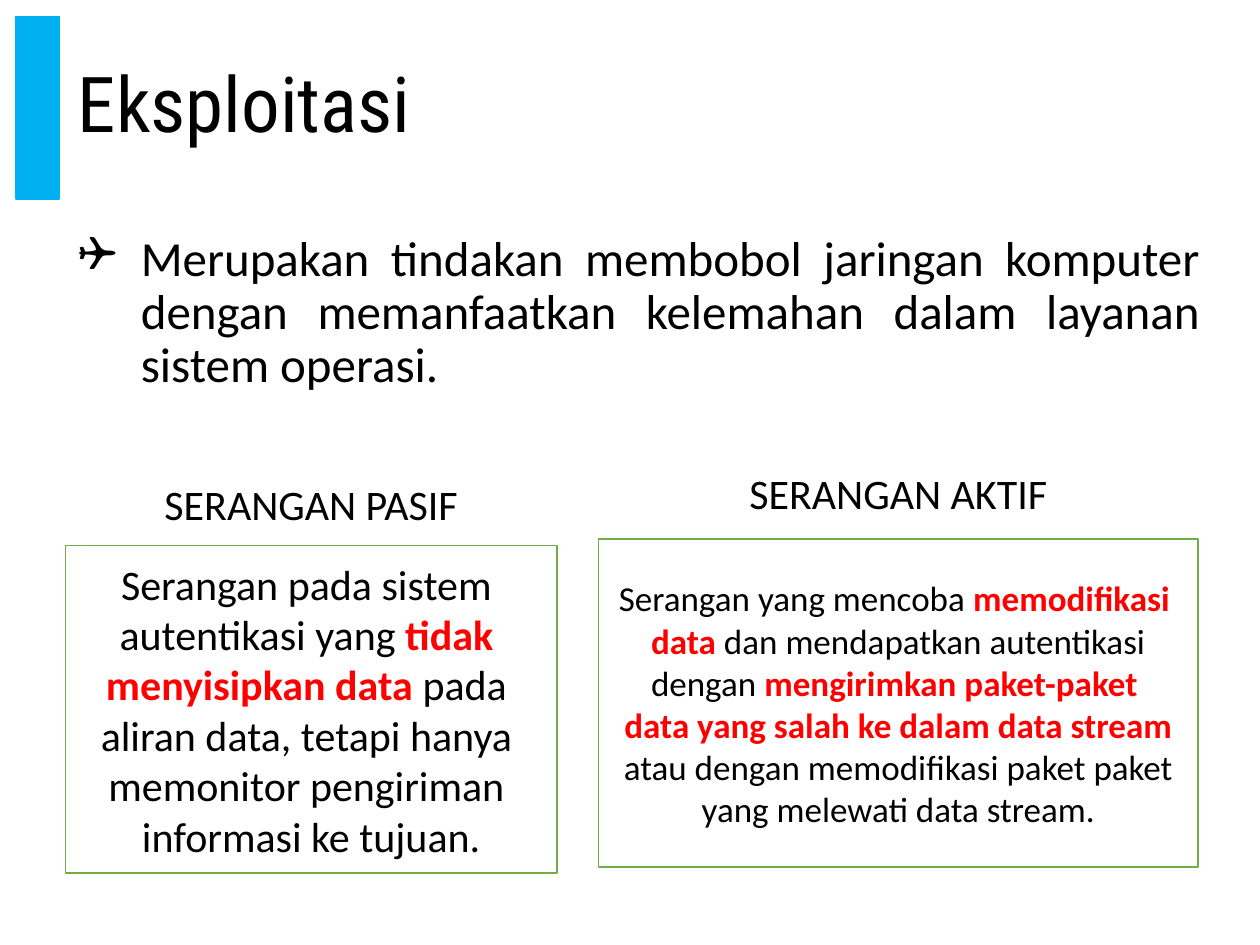
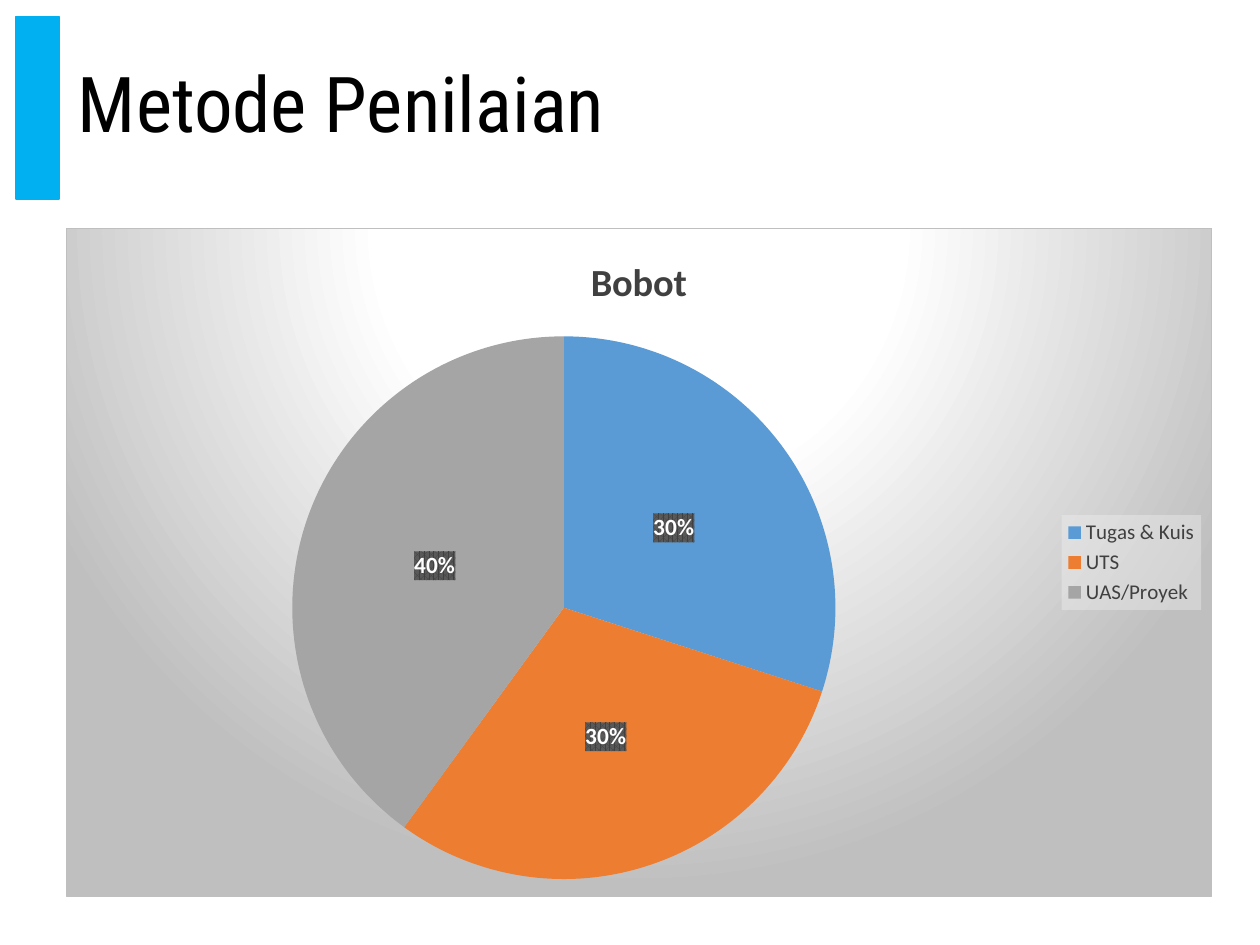
from lxml import etree
from pptx import Presentation
from pptx import util as u
from pptx.chart.data import CategoryChartData
from pptx.dml.color import RGBColor
from pptx.enum import chart as charts, shapes, text
from pptx.oxml import ns

BLACK, WHITE, RED = "000000", "FFFFFF", "FF0000"
BLUE, GREEN, DARK, SILVER = "00B0F0", "70AD47", "404040", "BFBFBF"
BODY_FONT, TITLE_FONT = "Calibri", "Roboto Condensed"
LEFT, WIDTH = 37.44, 655.2
BAND_TOP, BAND_HEIGHT = 9.36, 104.4
CONTENT = (LEFT, 130.32, WIDTH, 382.32)
LABEL_WIDTH, LABEL_HEIGHT = 186, 36

BACKDROP = f"""<a:gradFill><a:gsLst>
<a:gs pos="0"><a:srgbClr val="{WHITE}"/></a:gs>
<a:gs pos="39000"><a:srgbClr val="{WHITE}"/></a:gs>
<a:gs pos="100000"><a:srgbClr val="{SILVER}"/></a:gs></a:gsLst>
<a:path path="circle"><a:fillToRect l="50000" t="-80000" r="50000" b="180000"/></a:path>
</a:gradFill><a:ln w="9525"><a:solidFill><a:srgbClr val="{SILVER}"/></a:solidFill></a:ln>"""
LEGEND_FILL = """<a:solidFill><a:srgbClr val="F2F2F2"><a:alpha val="39000"/></a:srgbClr>
</a:solidFill>"""
LABEL_FILL = f"""<a:pattFill prst="pct75"><a:fgClr><a:srgbClr val="{DARK}"/></a:fgClr>
<a:bgClr><a:srgbClr val="595959"/></a:bgClr></a:pattFill>"""


def color(value):
    return RGBColor.from_string(value)


def set_font(font, size, value=BLACK, name=BODY_FONT, bold=False):
    font.size, font.name, font.bold = u.Pt(size), name, bold
    font.color.rgb = color(value)


def format_chart_part(chart, part, fill):
    """Give a chart part a fill; its text properties must already exist."""
    properties = etree.fromstring(
        f'<c:spPr xmlns:c="{ns.nsuri("c")}" xmlns:a="{ns.nsuri("a")}">{fill}</c:spPr>')
    chart.element.xpath(f"{part}c:txPr")[0].addprevious(properties)


class Deck:
    """Holds the shared style and the slide being built."""

    def __init__(self):
        self.presentation = Presentation()
        self.presentation.slide_width = u.Pt(720)
        self.presentation.slide_height = u.Pt(540)
        self.slide = None

    def add_slide(self, title):
        self.slide = self.presentation.slides.add_slide(self.presentation.slide_layouts[6])
        self.add_box(BAND_TOP, BAND_TOP, 24.48, BAND_HEIGHT, BLUE, BLUE)
        frame = self.add_text(LEFT, BAND_TOP, WIDTH, BAND_HEIGHT)
        frame.vertical_anchor = text.MSO_ANCHOR.MIDDLE
        self.fill_text(frame, [[title]], 44, font=TITLE_FONT, spacing=0.9)

    def add_box(self, left, top, width, height, fill, line):
        shape = self.slide.shapes.add_shape(
            shapes.MSO_SHAPE.RECTANGLE, *map(u.Pt, (left, top, width, height)))
        shape.shadow.inherit = False
        shape.fill.solid()
        shape.fill.fore_color.rgb = color(fill)
        shape.line.color.rgb = color(line)
        shape.line.width = u.Pt(1)
        return shape.text_frame

    def add_text(self, left, top, width, height, wrap=True):
        shape = self.slide.shapes.add_textbox(*map(u.Pt, (left, top, width, height)))
        shape.text_frame.word_wrap = wrap
        return shape.text_frame

    def fill_text(self, frame, lines, size, align=text.PP_ALIGN.LEFT, font=BODY_FONT,
                  spacing=1.0):
        """Write lines of runs; a run given as a one-item tuple is stressed."""
        for index, line in enumerate(lines):
            paragraph = frame.add_paragraph() if index else frame.paragraphs[0]
            paragraph.alignment = align
            paragraph.line_spacing = spacing
            for part in line:
                stressed = isinstance(part, tuple)
                run = paragraph.add_run()
                run.text = part[0] if stressed else part
                set_font(run.font, size, RED if stressed else BLACK, font, stressed)

    def add_bullet(self, wording):
        frame = self.add_text(*CONTENT)
        self.fill_text(frame, [[wording]], 28, text.PP_ALIGN.JUSTIFY, spacing=0.9)
        paragraph = frame.paragraphs[0]
        paragraph.space_before = u.Pt(10)
        properties = paragraph._p.get_or_add_pPr()
        properties.set("marL", str(u.Pt(36)))
        properties.set("indent", str(u.Pt(-36)))
        etree.SubElement(properties, ns.qn("a:buFont")).set("typeface", "Wingdings")
        etree.SubElement(properties, ns.qn("a:buChar")).set("char", "❑")

    def add_card(self, heading, heading_top, left, top, width, lines, size):
        """Add a framed card with its heading centred above it."""
        frame = self.add_box(left, top, width, 187.2, WHITE, GREEN)
        frame.word_wrap = True
        frame.vertical_anchor = text.MSO_ANCHOR.MIDDLE
        self.fill_text(frame, lines, size, text.PP_ALIGN.CENTER)
        label = self.add_text(left + (width - LABEL_WIDTH) / 2, heading_top,
                              LABEL_WIDTH, LABEL_HEIGHT, wrap=False)
        self.fill_text(label, [[heading]], 24, text.PP_ALIGN.CENTER)

    def add_pie(self, title, weights, slice_colors):
        data = CategoryChartData()
        data.categories = list(weights)
        data.add_series(title, list(weights.values()))
        chart = self.slide.shapes.add_chart(
            charts.XL_CHART_TYPE.PIE, *map(u.Pt, CONTENT), data).chart
        set_font(chart.font, 10)

        chart.has_title = True
        run = chart.chart_title.text_frame.paragraphs[0].add_run()
        run.text = title
        set_font(run.font, 22, DARK, bold=True)

        chart.has_legend = True
        chart.legend.position = charts.XL_LEGEND_POSITION.RIGHT
        chart.legend.include_in_layout = False
        set_font(chart.legend.font, 12, DARK)

        plot = chart.plots[0]
        plot.vary_by_categories = True
        series = plot.series[0]
        for index, value in enumerate(slice_colors):
            fill = series.points[index].format.fill
            fill.solid()
            fill.fore_color.rgb = color(value)
        labels = series.data_labels
        labels.show_percentage, labels.show_value = True, False
        labels.number_format, labels.number_format_is_linked = "0%", False
        labels.position = charts.XL_LABEL_POSITION.CENTER
        set_font(labels.font, 13.3, WHITE, bold=True)

        format_chart_part(chart, "", BACKDROP)
        format_chart_part(chart, "c:chart/c:legend/", LEGEND_FILL)
        format_chart_part(chart, ".//c:ser/c:dLbls/", LABEL_FILL)


def add_exploitation(deck):
    deck.add_slide("Eksploitasi")
    deck.add_bullet("Merupakan tindakan membobol jaringan komputer dengan "
                    "memanfaatkan kelemahan dalam layanan sistem operasi.")
    passive = [
        ["Serangan pada sistem "],
        ["autentikasi yang ", ("tidak ",)],
        [("menyisipkan data ",), "pada "],
        ["aliran data, tetapi hanya "],
        ["memonitor pengiriman "],
        ["informasi ke tujuan."],
    ]
    active = [
        ["Serangan yang mencoba ", ("memodifikasi ",)],
        [("data",), " dan mendapatkan autentikasi"],
        ["dengan ", ("mengirimkan paket-paket ",)],
        [("data yang salah ke dalam data stream",)],
        ["atau dengan memodifikasi paket paket yang melewati data stream."],
    ]
    deck.add_card("SERANGAN PASIF", 270, LEFT, 311.76, 280.8, passive, 24)
    deck.add_card("SERANGAN AKTIF", 263.52, 342, 308.16, 342.72, active, 20)


def add_grading(deck):
    deck.add_slide("Metode Penilaian")
    deck.add_pie("Bobot", {"Tugas & Kuis": 30, "UTS": 30, "UAS/Proyek": 40},
                 ["5B9BD5", "ED7D31", "A5A5A5"])


def main():
    deck = Deck()
    add_exploitation(deck)
    add_grading(deck)
    deck.presentation.save("out.pptx")


if __name__ == "__main__":
    main()
